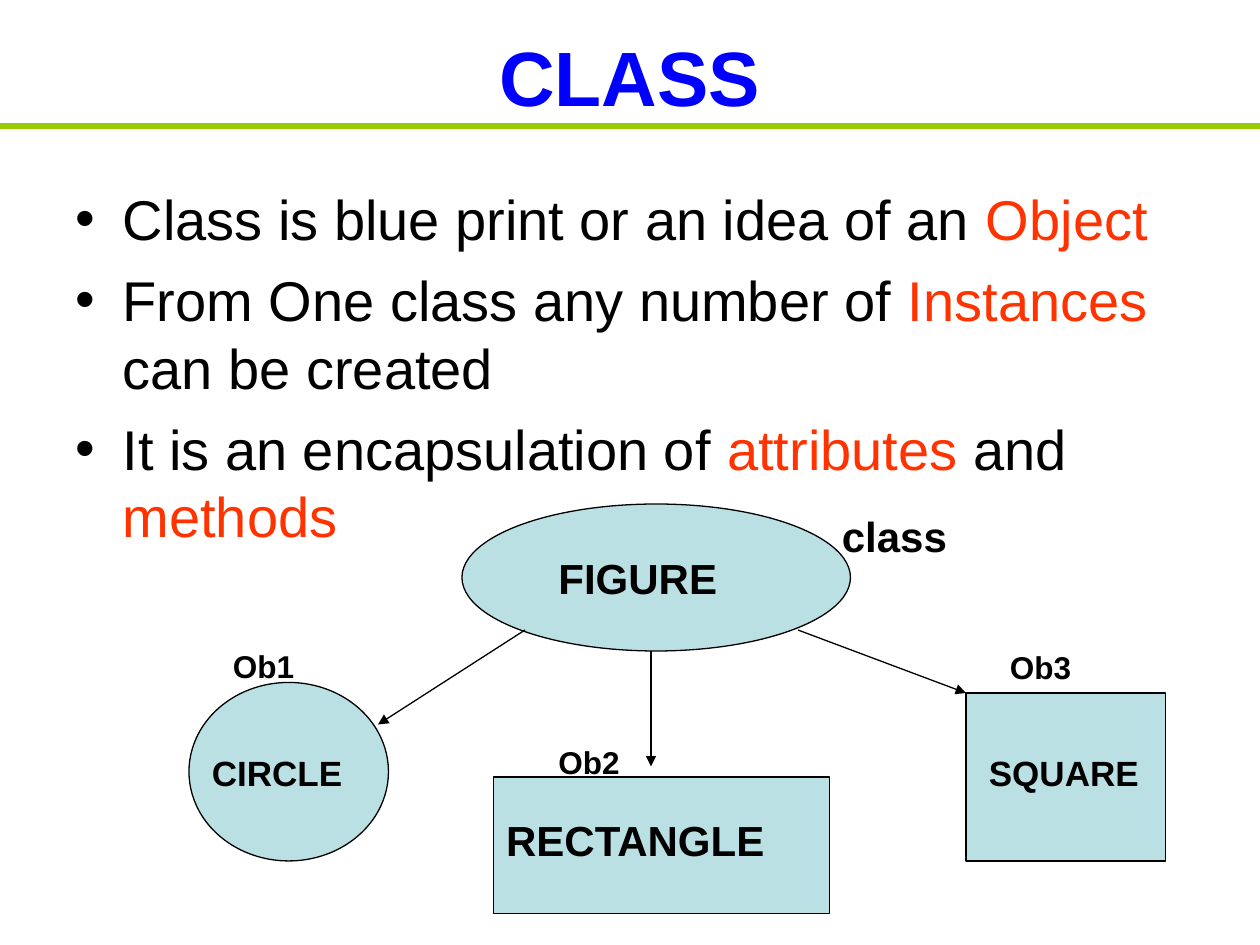
from typing import NamedTuple

from lxml.etree import SubElement
from pptx import Presentation
from pptx.dml.color import RGBColor
from pptx.enum.shapes import MSO_CONNECTOR as Link, MSO_SHAPE as Kind
from pptx.enum.text import MSO_ANCHOR as Anchor, PP_ALIGN as Align
from pptx.oxml.ns import qn
from pptx.util import Pt

BLACK, BLUE, RED, GREEN, TEAL = "000000", "0000FF", "FF3300", "99CC00", "BBE0E3"


class Box(NamedTuple):
    x: float
    y: float
    w: float
    h: float


class Node(NamedTuple):
    kind: Kind
    box: Box


class Label(NamedTuple):
    text: str
    box: Box
    size: float
    align: Align = Align.LEFT


class Line(NamedTuple):
    x1: float
    y1: float
    x2: float
    y2: float


NODES = [
    Node(Kind.OVAL, Box(264, 288, 222, 84)),
    Node(Kind.OVAL, Box(108, 390, 114, 102)),
    Node(Kind.RECTANGLE, Box(282, 444, 192, 78)),
    Node(Kind.RECTANGLE, Box(552, 396, 114, 96)),
]
LABELS = [
    Label("FIGURE", Box(312, 312, 120, 36), 24),
    Label("CIRCLE", Box(114, 426, 102, 31.5), 20),
    Label("RECTANGLE", Box(270, 462, 186, 36), 24, Align.CENTER),
    Label("SQUARE", Box(558, 426, 108, 31.5), 20),
    Label("Ob1", Box(126, 366, 54, 29), 18),
    Label("Ob2", Box(312, 421, 54, 29), 18),
    Label("Ob3", Box(570, 367, 54, 29), 18),
    Label("class", Box(474, 288, 84, 36), 24),
]
ARROWS = [
    Line(300, 360, 216, 414),
    Line(372, 372, 372, 438),
    Line(456, 360, 552, 396),
]
# Each point is a list of (text, colour) runs
POINTS = [
    [("Class is blue print or an idea of an ", BLACK), ("Object", RED)],
    [("From One class any number of ", BLACK), ("Instances", RED),
     (" can be created", BLACK)],
    [("It is an encapsulation of ", BLACK), ("attributes", RED),
     (" and ", BLACK), ("methods", RED)],
]


def rgb(code: str) -> RGBColor:
    return RGBColor.from_string(code)


def add_bullet(para) -> None:
    props = para._p.get_or_add_pPr()
    props.set("marL", str(Pt(27)))
    props.set("indent", str(-Pt(27)))
    tint = SubElement(props, qn("a:buClr"))
    SubElement(tint, qn("a:srgbClr")).set("val", BLACK)
    SubElement(props, qn("a:buFont")).set("typeface", "Arial")
    SubElement(props, qn("a:buChar")).set("char", "•")


def add_text(slide, paras: list, box: Box, *, size: float, bold: bool = False,
             align: Align = Align.LEFT, anchor: Anchor = Anchor.TOP,
             bullet: bool = False, gap: float = 0) -> None:
    frame = slide.shapes.add_textbox(*map(Pt, box)).text_frame
    frame.word_wrap = True
    frame.vertical_anchor = anchor
    for i, runs in enumerate(paras):
        para = frame.add_paragraph() if i else frame.paragraphs[0]
        para.alignment = align
        if i:
            para.space_before = Pt(gap)
        if bullet:
            add_bullet(para)
        for text, color in runs:
            run = para.add_run()
            run.text = text
            font = run.font
            font.name, font.size, font.bold = "Arial", Pt(size), bold
            font.color.rgb = rgb(color)


def add_node(slide, node: Node) -> None:
    shape = slide.shapes.add_shape(node.kind, *map(Pt, node.box))
    shape.shadow.inherit = False
    shape.fill.solid()
    shape.fill.fore_color.rgb = rgb(TEAL)
    shape.line.color.rgb = rgb(BLACK)
    shape.line.width = Pt(0.75)


def add_line(slide, line: Line, *, color: str = BLACK, width: float = 0.75,
             arrow: bool = False) -> None:
    link = slide.shapes.add_connector(Link.STRAIGHT, *map(Pt, line))
    link.line.color.rgb = rgb(color)
    link.line.width = Pt(width)
    props = link._element.spPr
    if arrow:
        SubElement(props.find(qn("a:ln")), qn("a:tailEnd")).set("type", "triangle")
    SubElement(props, qn("a:effectLst"))


def main() -> None:
    deck = Presentation()
    deck.slide_width, deck.slide_height = Pt(720), Pt(540)
    slide = deck.slides.add_slide(deck.slide_layouts[6])

    # Title and points
    add_text(slide, [[("CLASS", BLUE)]], Box(36, 12, 648, 63), size=44,
             bold=True, align=Align.CENTER, anchor=Anchor.MIDDLE)
    add_text(slide, POINTS, Box(36, 102, 648, 228), size=32, bullet=True, gap=8)

    # Class diagram
    for node in NODES:
        add_node(slide, node)
    for arrow in ARROWS:
        add_line(slide, arrow, arrow=True)
    for label in LABELS:
        add_text(slide, [[(label.text, BLACK)]], label.box, size=label.size,
                 bold=True, align=label.align)

    # Rule under the title
    add_line(slide, Line(0, 72, 720, 72), color=GREEN, width=3)

    deck.save("out.pptx")


if __name__ == "__main__":
    main()
